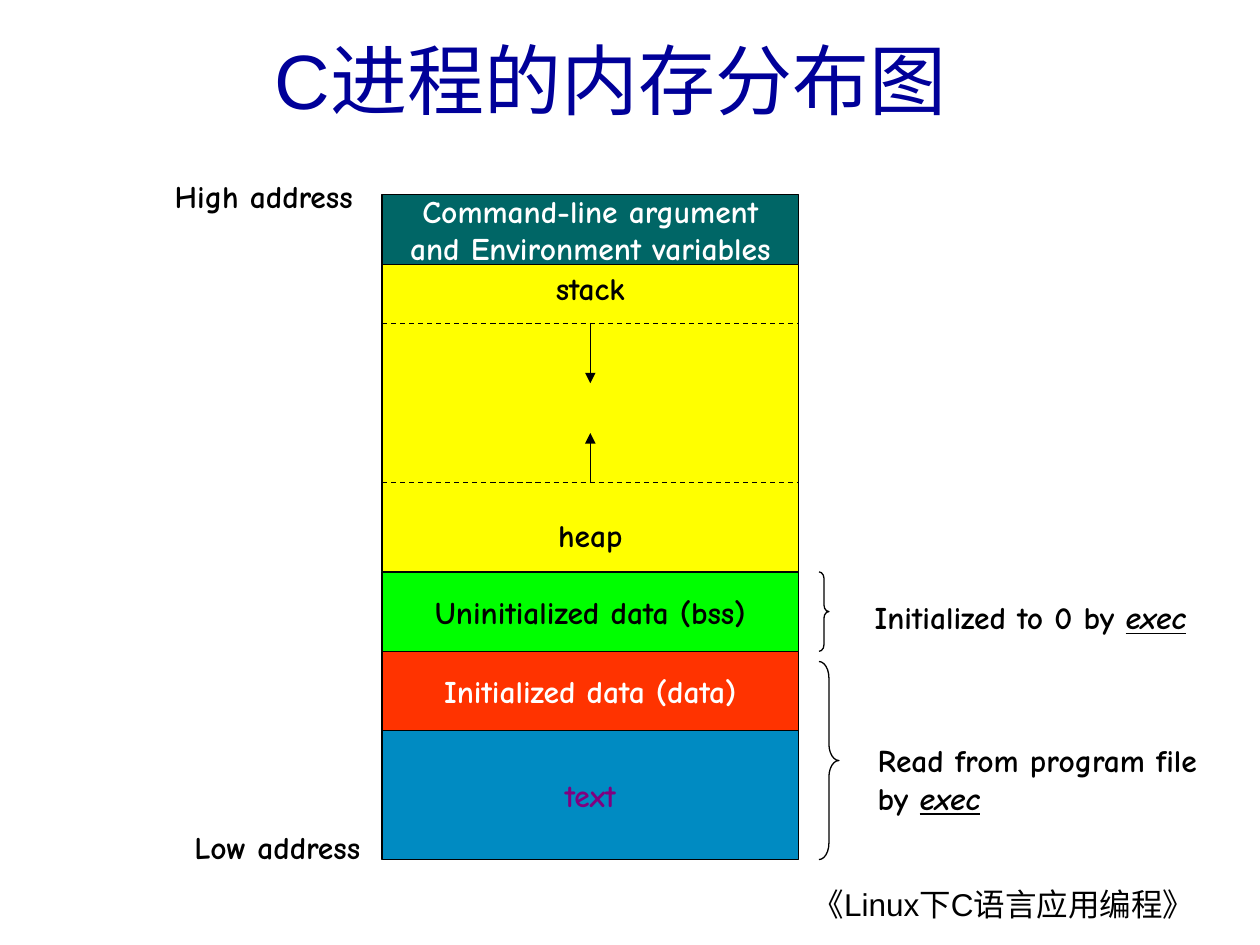
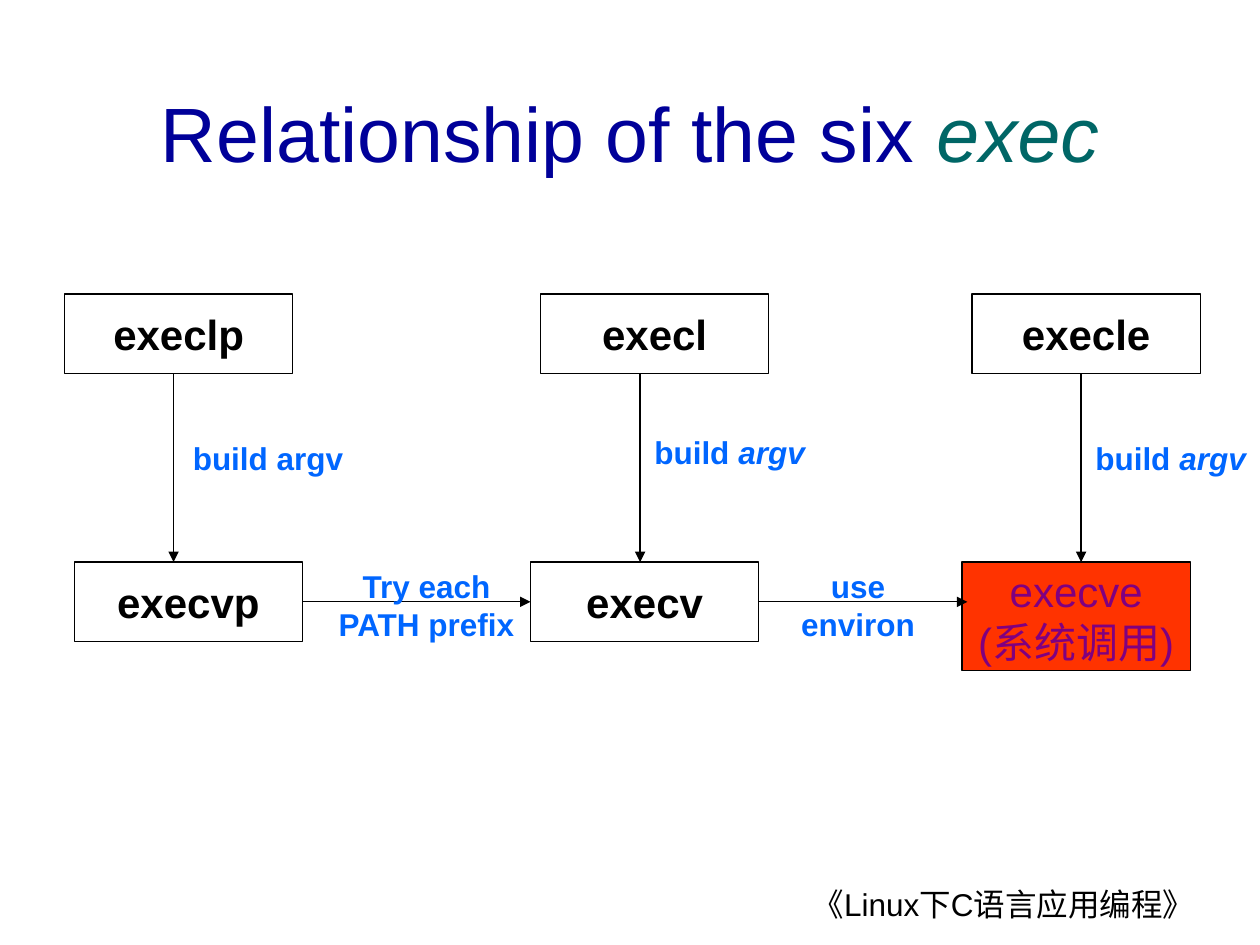
from pptx import Presentation
from pptx.dml.color import RGBColor
from pptx.enum.dml import MSO_LINE
from pptx.enum.shapes import MSO_CONNECTOR, MSO_SHAPE
from pptx.enum.text import MSO_ANCHOR, MSO_AUTO_SIZE, PP_ALIGN
from pptx.oxml.ns import qn
from pptx.util import Pt
from lxml.etree import SubElement

BLACK, WHITE, NAVY, TEAL = "000000", "FFFFFF", "000099", "006666"
YELLOW, GREEN, RED, BLUE = "FFFF00", "00FF00", "FF3300", "008BC2"
PURPLE, LABEL_BLUE = "800080", "0066FF"
SANS, COMIC = "Arial", "Comic Neue"
FOOTER = "《Linux下C语言应用编程》"


def color(value):
    return RGBColor.from_string(value)


class Slides:
    """Holds the deck style and the page being drawn."""

    def __init__(self):
        self.deck = Presentation()
        self.deck.slide_width, self.deck.slide_height = Pt(720), Pt(540)
        self.font = SANS
        self.page = None

    def new_page(self, title, left, top, width, font):
        self.page = self.deck.slides.add_slide(self.deck.slide_layouts[5])
        self.font = SANS
        self.text(FOOTER, 382.3, 502.6, 306, 28, align=PP_ALIGN.RIGHT)
        heading = self.page.shapes.title
        heading.left, heading.top = Pt(left), Pt(top)
        heading.width, heading.height = Pt(width), Pt(90)
        heading.text_frame.auto_size = MSO_AUTO_SIZE.NONE
        heading.text_frame.vertical_anchor = MSO_ANCHOR.MIDDLE
        self.fill_frame(heading.text_frame, title, 44, NAVY, PP_ALIGN.CENTER, accent=TEAL)
        self.font = font

    def fill_frame(self, frame, text, size, ink, align, bold=False, underline=False,
                   accent=None, gap=0):
        """Add one paragraph a line; words between asterisks are italic."""
        for index, line in enumerate(text.split("\n")):
            para = frame.add_paragraph() if index else frame.paragraphs[0]
            para.alignment = align
            if index and gap:
                para.space_before = Pt(gap)
            for position, part in enumerate(line.split("*")):
                if not part:
                    continue
                emphasised = position % 2 == 1
                span = para.add_run()
                span.text = part
                span.font.name, span.font.size, span.font.bold = self.font, Pt(size), bold
                span.font.color.rgb = color(accent if emphasised and accent else ink)
                if emphasised:
                    span.font.italic = True
                    span.font.underline = underline

    def set_margins(self, frame):
        frame.margin_left = frame.margin_right = Pt(6)
        frame.margin_top = frame.margin_bottom = Pt(3)

    def text(self, text, left, top, width, height, ink=BLACK, align=PP_ALIGN.LEFT,
             wrap=True, **style):
        box = self.page.shapes.add_textbox(Pt(left), Pt(top), Pt(width), Pt(height))
        self.set_margins(box.text_frame)
        box.text_frame.word_wrap = wrap
        self.fill_frame(box.text_frame, text, 18, ink, align, **style)

    def shape(self, kind, left, top, width, height, fill=None):
        shape = self.page.shapes.add_shape(kind, Pt(left), Pt(top), Pt(width), Pt(height))
        shape.shadow.inherit = False
        shape.line.color.rgb, shape.line.width = color(BLACK), Pt(0.75)
        if fill:
            shape.fill.solid()
            shape.fill.fore_color.rgb = color(fill)
        else:
            shape.fill.background()
        return shape

    def box(self, text, left, top, width, height, fill=None, ink=BLACK, size=24,
            anchor=MSO_ANCHOR.MIDDLE, **style):
        frame = self.shape(MSO_SHAPE.RECTANGLE, left, top, width, height, fill).text_frame
        self.set_margins(frame)
        frame.word_wrap = False
        frame.vertical_anchor = anchor
        self.fill_frame(frame, text, size, ink, PP_ALIGN.CENTER, **style)

    def brace(self, left, top, width, height):
        brace = self.shape(MSO_SHAPE.RIGHT_BRACE, left, top, width, height)
        brace.adjustments[0] = height / 12 / width

    def line(self, x1, y1, x2, y2, dashed=False, arrow=False):
        line = self.page.shapes.add_connector(
            MSO_CONNECTOR.STRAIGHT, Pt(x1), Pt(y1), Pt(x2), Pt(y2))
        line.line.color.rgb, line.line.width = color(BLACK), Pt(0.75)
        if dashed:
            line.line.dash_style = MSO_LINE.DASH
        properties = line.element.spPr
        if arrow:
            SubElement(properties.find(qn("a:ln")), qn("a:tailEnd"), type="triangle")
        SubElement(properties, qn("a:effectLst"))


def memory_layout(slides):
    slides.new_page("C进程的内存分布图", 25.2, 0, 648, COMIC)
    left, width, top = 218.3, 238.1, 111.2
    right, middle = left + width, left + width / 2
    segments = [
        ("Command-line argument\nand Environment variables", 39.8, TEAL, WHITE, {}),
        ("stack\nheap", 175.8, YELLOW, BLACK, {"anchor": MSO_ANCHOR.TOP, "gap": 119.5}),
        ("Uninitialized data (bss)", 45.4, GREEN, BLACK, {}),
        ("Initialized data (data)", 45.4, RED, WHITE, {}),
        ("text", 73.6, BLUE, PURPLE, {}),
    ]
    for name, height, fill, ink, style in segments:
        slides.box(name, left, top, width, height, fill, ink, 18, bold=True, **style)
        top += height

    for edge, tip in ((185, 219), (275.7, 247.5)):
        slides.line(left, edge, right, edge, dashed=True)
        slides.line(middle, edge, middle, tip, arrow=True)

    slides.brace(468, 326.8, 5.7, 45.4)
    slides.brace(468, 378, 11.4, 113.2)
    for note, x, y, w, h in (
        ("Initialized to 0 by *exec*", 493.8, 338.7, 190.8, 27.4),
        ("Read from program file\nby *exec*", 495.5, 420.4, 195.1, 49),
        ("High address", 93.8, 98, 113.8, 27.4),
        ("Low address", 105, 470.4, 107.3, 27.4),
    ):
        slides.text(note, x, y, w, h, wrap=False, bold=True, underline=True)


def exec_family(slides):
    slides.new_page("Relationship of the six *exec*", 23.8, 30.2, 672.5, SANS)
    width, height, upper, lower = 130.4, 45.4, 168, 321.2
    columns = [
        ("execlp", 36.9, 99.2, "build argv", 247.7, 108),
        ("execl", 308.9, 365.8, "build *argv*", 244.2, 102.2),
        ("execle", 555.5, 617.8, "build *argv*", 247.7, 102.2),
    ]
    for name, left, arrow_x, label, label_top, label_width in columns:
        slides.box(name, left, upper, width, height, bold=True)
        slides.line(arrow_x, upper + height, arrow_x, lower, arrow=True)
        slides.text(label, arrow_x, label_top, label_width, 27.4, LABEL_BLUE,
                    PP_ALIGN.CENTER, bold=True)

    for name, left in (("execvp", 42.5), ("execv", 303.2)):
        slides.box(name, left, lower, width, height, bold=True)
    slides.box("execve\n(系统调用)", 549.8, lower, width, 62, RED, PURPLE)

    arrow_y = lower + height / 2
    for start, end, label, left, label_width in (
        (172.9, 303.2, "Try each\nPATH prefix", 184.3, 118.8),
        (433.6, 552.8, "use\nenviron", 439.2, 102.2),
    ):
        slides.line(start, arrow_y, end, arrow_y, arrow=True)
        slides.text(label, left, lower, label_width, 49, LABEL_BLUE,
                    PP_ALIGN.CENTER, bold=True)


def main():
    slides = Slides()
    memory_layout(slides)
    exec_family(slides)
    slides.deck.save("out.pptx")


if __name__ == "__main__":
    main()
